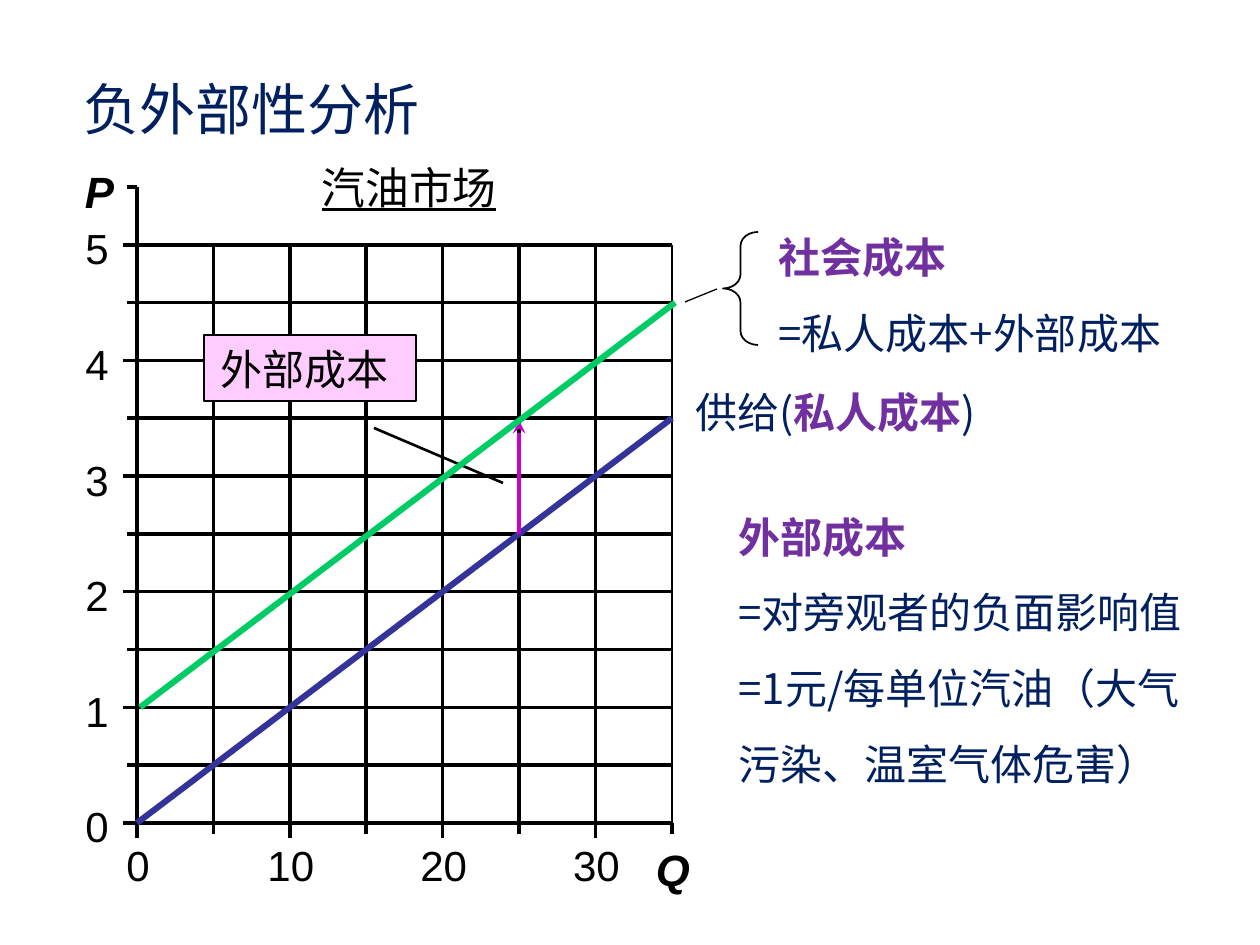
import pptx
import pptx.dml.color
import pptx.enum.shapes
import pptx.enum.text
import pptx.oxml.ns
import pptx.util
from lxml import etree

RGB = pptx.dml.color.RGBColor
SHAPES = pptx.enum.shapes.MSO_SHAPE
ALIGN = pptx.enum.text.PP_ALIGN
ANCHOR = pptx.enum.text.MSO_ANCHOR
qn = pptx.oxml.ns.qn

BLACK = RGB(0, 0, 0)
WHITE = RGB(255, 255, 255)
NAVY = RGB(0x00, 0x20, 0x60)
PURPLE = RGB(0x70, 0x30, 0xA0)
BLUE = RGB(0x33, 0x33, 0x99)
GREEN = RGB(0x00, 0xCC, 0x66)
MAGENTA = RGB(0xCC, 0x00, 0xCC)
PINK = RGB(0xFF, 0xCC, 0xFF)
CJK = "Noto Sans CJK SC"
LATIN = "Arial"

EMU_PER_PX = 914400 / 126
Q_STEPS = 7
P_STEPS = 11
GRID_STEPS = 10


def px(length):
    return pptx.util.Emu(round(length * EMU_PER_PX))


def format_run(run, size, color, face, bold=False, italic=False, underline=False):
    font = run.font
    font.size = pptx.util.Pt(size)
    font.color.rgb = color
    font.name = face
    font.bold = bold
    font.italic = italic
    font.underline = underline
    east_asian = etree.SubElement(run._r.get_or_add_rPr(), qn("a:ea"))
    east_asian.set("typeface", face)


def add_text(slide, box, lines, spacing=None):
    words = slide.shapes.add_textbox(*map(px, box))
    frame = words.text_frame
    frame.word_wrap = True
    for number, line in enumerate(lines):
        paragraph = frame.paragraphs[0] if number == 0 else frame.add_paragraph()
        paragraph.line_spacing = spacing
        for text, size, color, bold in line:
            run = paragraph.add_run()
            run.text = text
            format_run(run, size, color, CJK, bold)
    return words


def add_axis_text(slide, box, text, size=24, align=ALIGN.CENTER, strong=False):
    label = slide.shapes.add_textbox(*map(px, box))
    frame = label.text_frame
    frame.margin_left = frame.margin_right = 0
    frame.margin_top = frame.margin_bottom = 0
    frame.word_wrap = False
    frame.text = text
    frame.paragraphs[0].alignment = align
    format_run(frame.paragraphs[0].runs[0], size, BLACK, LATIN, strong, strong)


def add_line(slide, start, end, width, color=BLACK):
    line = slide.shapes.add_connector(
        pptx.enum.shapes.MSO_CONNECTOR.STRAIGHT, *map(px, (*start, *end)))
    line.line.color.rgb = color
    line.line.width = pptx.util.Pt(width)
    etree.SubElement(line._element.spPr, qn("a:effectLst"))
    return line


def add_label_box(slide, box, text, size, fill, outlined, underline=False):
    label = slide.shapes.add_shape(SHAPES.RECTANGLE, *map(px, box))
    label.shadow.inherit = False
    label.fill.solid()
    label.fill.fore_color.rgb = fill
    if outlined:
        label.line.color.rgb = BLACK
        label.line.width = pptx.util.Pt(0.75)
    else:
        label.line.fill.background()
    frame = label.text_frame
    frame.vertical_anchor = ANCHOR.TOP
    frame.text = text
    frame.paragraphs[0].alignment = ALIGN.CENTER
    format_run(frame.paragraphs[0].runs[0], size, BLACK, LATIN, underline=underline)
    return label


def plot_point(box, quantity, price):
    left, top, width, height = box
    return (left + width * quantity / (5 * Q_STEPS),
            top + height * (1 - price / (0.5 * P_STEPS)))


def draw_axes(slide, box):
    left, top, width, height = box
    right, bottom = left + width, top + height
    row_y = [bottom - height * step / P_STEPS for step in range(P_STEPS + 1)]
    column_x = [left + width * step / Q_STEPS for step in range(Q_STEPS + 1)]

    for y in row_y[1:GRID_STEPS + 1]:
        add_line(slide, (left, y), (right, y), 0)
    for x in column_x[1:]:
        add_line(slide, (x, row_y[GRID_STEPS]), (x, bottom), 1 if x == column_x[-1] else 0)
    add_line(slide, (left, top), (left, bottom), 2)
    add_line(slide, (left, bottom), (right, bottom), 2)

    for step, y in enumerate(row_y):
        major = step % 2 == 0
        add_line(slide, (left - (14 if major else 10), y), (left, y), 2)
        if major:
            add_axis_text(slide, (left - 52, y - 22, 24, 50), str(step // 2))
    for step, x in enumerate(column_x):
        major = step % 2 == 0
        add_line(slide, (x, bottom + (15 if major else 11)), (x, bottom), 2)
        if major:
            add_axis_text(slide, (x - 23, bottom + 17, 48, 50), str(step * 5))

    add_axis_text(slide, (left - 63, top - 22, 40, 50), "P", 25, ALIGN.RIGHT, True)
    add_axis_text(slide, (right - 22, bottom + 20, 40, 50), "Q", 25, ALIGN.RIGHT, True)


def draw_market(slide, box):
    left, top, width, height = box
    draw_axes(slide, box)
    add_label_box(slide, (left + 3, top - 32, width + 3, 88), "汽油市场", 25, WHITE, False, True)
    add_line(slide, plot_point(box, 0, 0), plot_point(box, 35, 3.5), 3.5, BLUE)

    cost_gap = add_line(slide, plot_point(box, 25, 2.5), plot_point(box, 25, 3.48), 2.5, MAGENTA)
    etree.SubElement(cost_gap.line._get_or_add_ln(), qn("a:tailEnd")).set("type", "stealth")

    add_line(slide, (left + 237, top + 241), (left + 366, top + 296), 1.5)
    external_cost = add_label_box(
        slide, (left + 67, top + 148, 212, 66), "外部成本 ", 24, PINK, True)
    external_cost.text_frame.paragraphs[0].line_spacing = 1.05
    add_line(slide, plot_point(box, 0.2, 1), plot_point(box, 35.2, 4.5), 3.5, GREEN)


def draw_social_cost(slide, box):
    left, top, width, height = box
    brace = slide.shapes.add_shape(
        SHAPES.LEFT_BRACE, px(left + 38), px(top + 32), px(35), px(113))
    brace.adjustments[0] = 0.4
    brace.shadow.inherit = False
    brace.fill.background()
    brace.line.color.rgb = BLACK
    brace.line.width = pptx.util.Pt(1)
    add_line(slide, (left + 32, top + 89), (left, top + 102), 0.75)
    add_text(slide, (left + 81, top, width - 81, height), [
        [("社会成本", 24, PURPLE, True)],
        [("=私人成本+外部成本", 24, NAVY, False)],
    ], 1.5)


def draw_explanations(slide, box):
    left, top, width, height = box
    add_text(slide, (left, top, 450, 63), [[
        ("供给(", 24, NAVY, False),
        ("私人成本", 24, PURPLE, True),
        (")", 24, NAVY, False),
    ]], 1.05)
    add_text(slide, (left + 43, top + 102, width - 43, height - 102), [
        [("外部成本", 24, PURPLE, True)],
        [("=对旁观者的负面影响值", 24, NAVY, False)],
        [("=1元/每单位汽油（大气污染、温室气体危害）", 24, NAVY, False)],
    ], 1.5)


def main():
    deck = pptx.Presentation()
    deck.slide_width = px(1260)
    deck.slide_height = px(945)
    slide = deck.slides.add_slide(deck.slide_layouts[6])

    heading = add_text(slide, (71, 76, 684, 64), [[("负外部性分析", 32, NAVY, False)]])
    heading.text_frame.vertical_anchor = ANCHOR.MIDDLE
    draw_explanations(slide, (683, 378, 529, 420))
    draw_market(slide, (137, 187, 535, 636))
    draw_social_cost(slide, (685, 200, 571, 156))

    deck.save("out.pptx")


if __name__ == "__main__":
    main()
